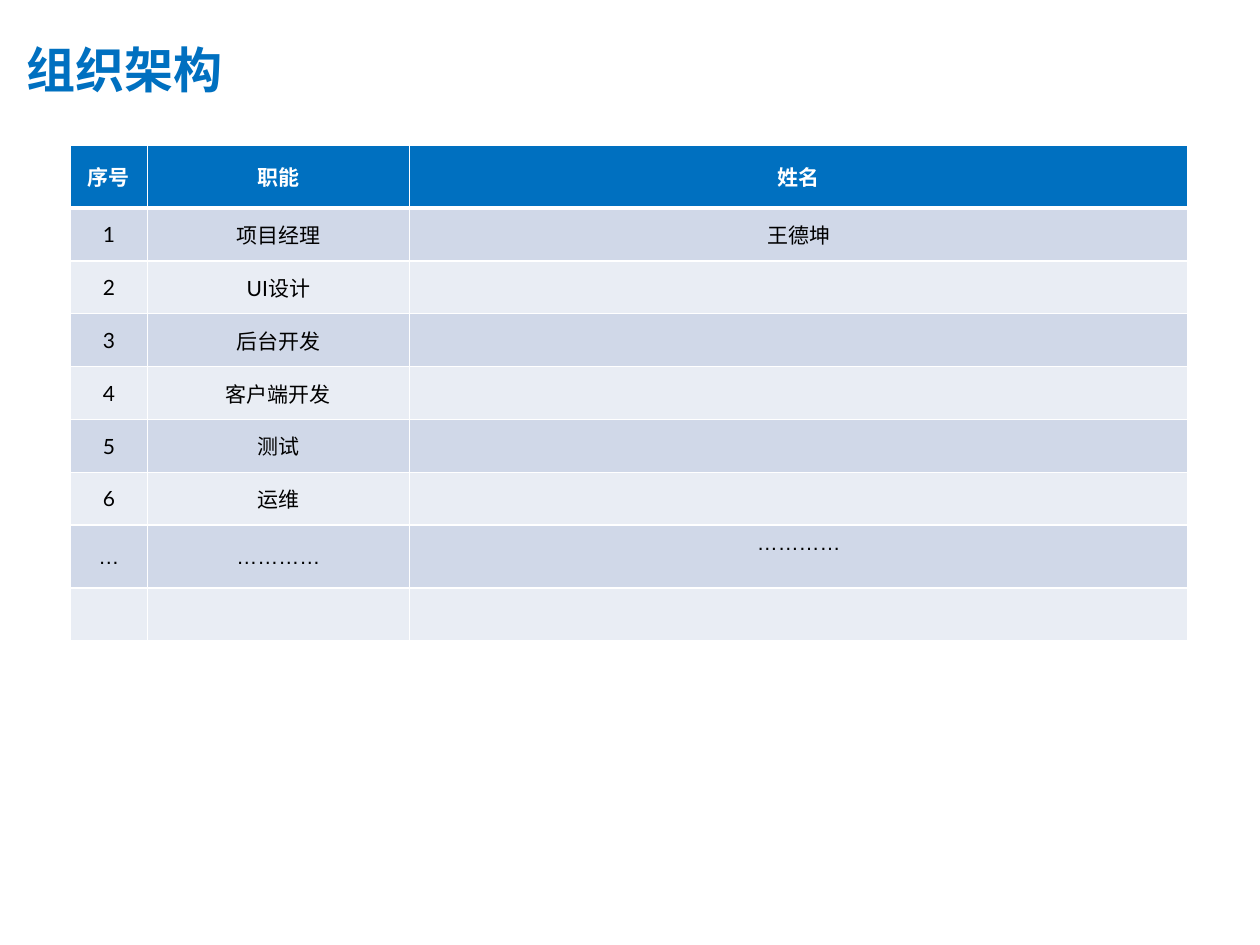
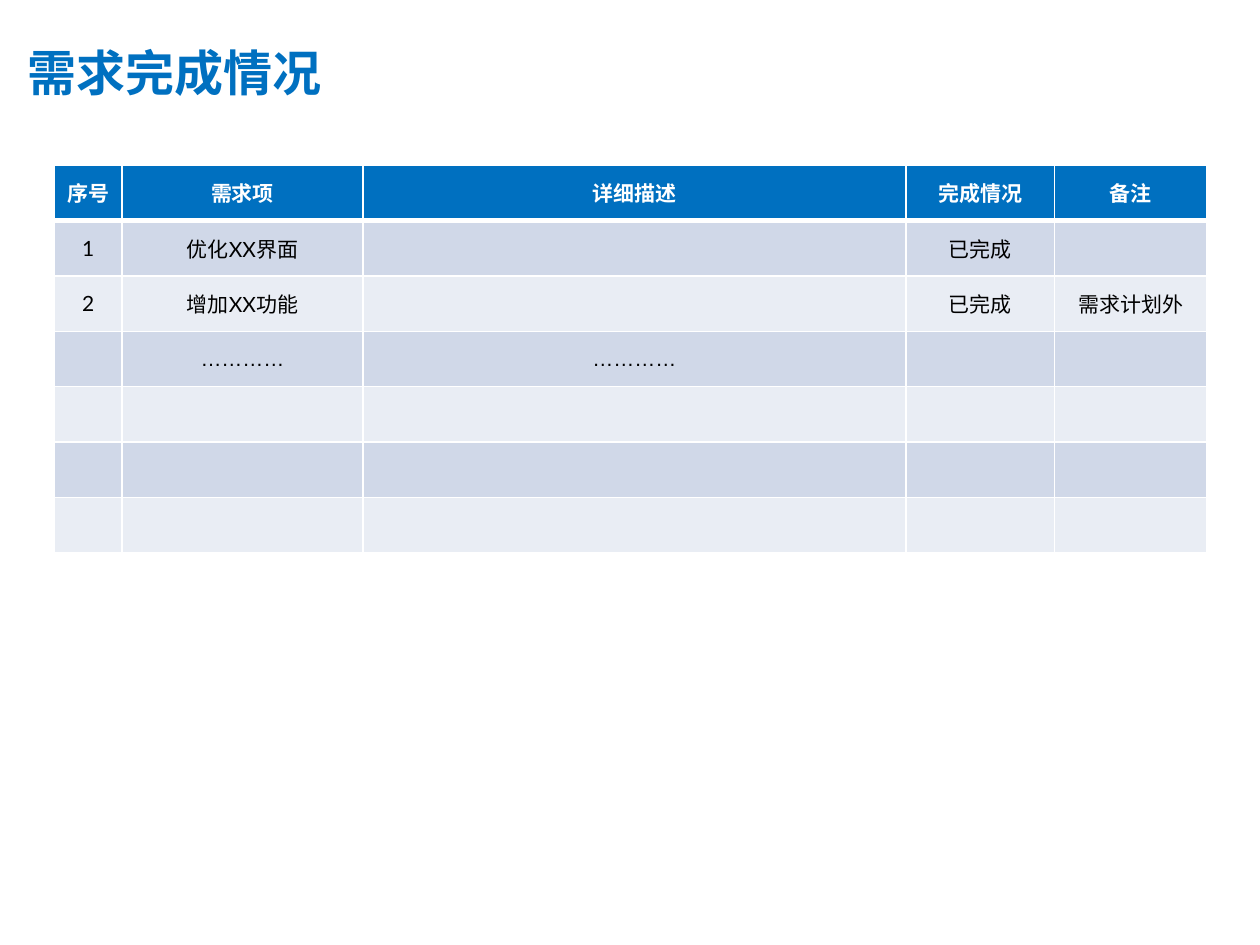
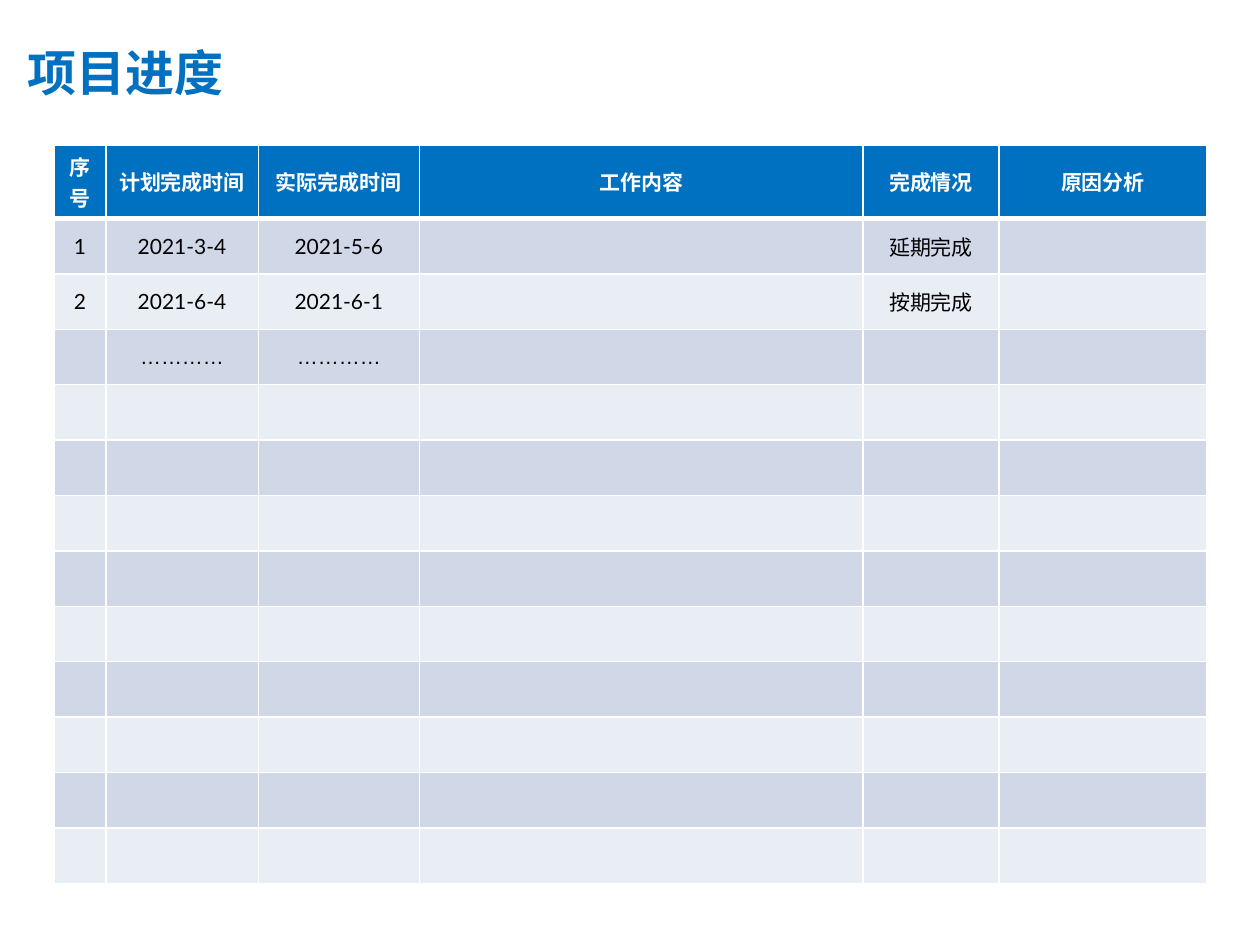
"""Builds three project report slides: team, requirements and schedule."""
from pptx import Presentation
from pptx.dml.color import RGBColor
from pptx.enum.text import MSO_ANCHOR as ANCHOR, MSO_AUTO_SIZE as AUTO, PP_ALIGN as ALIGN
from pptx.oxml import parse_xml
from pptx.oxml.ns import nsdecls
from pptx.util import Inches, Pt

COLORS = {"blue": "0070C0", "white": "FFFFFF", "black": "000000",
          "band_dark": "D0D8E8", "band_light": "E9EDF4"}
CJK = "Noto Sans CJK SC"
DOTS = "…………"

SLIDES = [
    {"title": "组织架构", "title_top": 0.2, "title_inset": 0.21,
     "left": 0.56, "top": 1.15, "cols": [0.61, 2.08, 6.18],
     "heights": [0.5] + [0.42] * 6 + [0.5, 0.42],
     "rows": [["序号", "职能", "姓名"],
              ["1", "项目经理", "王德坤"],
              ["2", "UI设计"],
              ["3", "后台开发"],
              ["4", "客户端开发"],
              ["5", "测试"],
              ["6", "运维"],
              ["…", DOTS, DOTS]],
     "top_cells": [(7, 2)]},
    {"title": "需求完成情况", "title_top": 0.22, "title_inset": 0.22,
     "left": 0.43, "top": 1.31, "cols": [0.54, 1.91, 4.31, 1.18, 1.21],
     "heights": [0.44] * 7,
     "rows": [["序号", "需求项", "详细描述", "完成情况", "备注"],
              ["1", "优化XX界面", "", "已完成"],
              ["2", "增加XX功能", "", "已完成", "需求计划外"],
              ["", DOTS, DOTS]],
     "top_cells": []},
    {"title": "项目进度", "title_top": 0.22, "title_inset": 0.22,
     "left": 0.43, "top": 1.15, "cols": [0.41, 1.21, 1.28, 3.52, 1.08, 1.65],
     "heights": [0.5] + [0.44] * 12,
     "rows": [["序号", "计划完成时间", "实际完成时间", "工作内容", "完成情况", "原因分析"],
              ["1", "2021-3-4", "2021-5-6", "", "延期完成"],
              ["2", "2021-6-4", "2021-6-1", "", "按期完成"],
              ["", DOTS, DOTS]],
     "top_cells": []},
]


def write_text(tf, text, size=12, color="black", bold=False, font="Lato", ea=CJK, align=ALIGN.CENTER):
    p = tf.paragraphs[0]
    p.alignment = align
    r = p.add_run()
    r.text = text
    r.font.size = Pt(size)
    r.font.bold = bold
    r.font.name = font
    r.font.color.rgb = RGBColor.from_string(COLORS[color])
    r.font._element.append(parse_xml(f'<a:ea {nsdecls("a")} typeface="{ea}"/>'))


def set_borders(cell, **widths):
    for side, width in widths.items():
        cell._tc.get_or_add_tcPr().append(parse_xml(
            f'<a:ln{side} {nsdecls("a")} w="{Pt(width)}"><a:solidFill>'
            f'<a:srgbClr val="{COLORS["white"]}"/></a:solidFill></a:ln{side}>'))


prs = Presentation()
prs.slide_width = Inches(10)
prs.slide_height = Inches(7.5)

for content in SLIDES:
    s = prs.slides.add_slide(prs.slide_layouts[5])
    title = s.shapes.title
    title.left, title.top = Inches(0), Inches(content["title_top"])
    title.width, title.height = Inches(7.7), Inches(0.7)
    tf = title.text_frame
    tf.auto_size = AUTO.NONE
    tf.vertical_anchor = ANCHOR.MIDDLE
    tf.margin_left = Inches(content["title_inset"])
    write_text(tf, content["title"], size=28, color="blue", bold=True, font=CJK, align=ALIGN.LEFT)

    cols, heights = content["cols"], content["heights"]
    table = s.shapes.add_table(len(heights), len(cols), Inches(content["left"]), Inches(content["top"]),
                               Inches(sum(cols)), Inches(sum(heights))).table
    for column, width in zip(table.columns, cols):
        column.width = Inches(width)
    for i, height in enumerate(heights):
        table.rows[i].height = Inches(height)
        header = i == 0
        fill = "blue" if header else "band_dark" if i % 2 else "band_light"
        values = content["rows"][i] if i < len(content["rows"]) else []
        for j in range(len(cols)):
            cell = table.cell(i, j)
            cell.vertical_anchor = ANCHOR.TOP if (i, j) in content["top_cells"] else ANCHOR.MIDDLE
            set_borders(cell, L=1, R=1, T=3 if i == 1 else 1, B=3 if header else 1)
            cell.fill.solid()
            cell.fill.fore_color.rgb = RGBColor.from_string(COLORS[fill])
            if j < len(values) and values[j]:
                dots = values[j].startswith("…")
                write_text(cell.text_frame, values[j], color="white" if header else "black", bold=header,
                           font="Arial" if dots else "Lato", ea="Arial" if dots else CJK)

prs.save("out.pptx")
